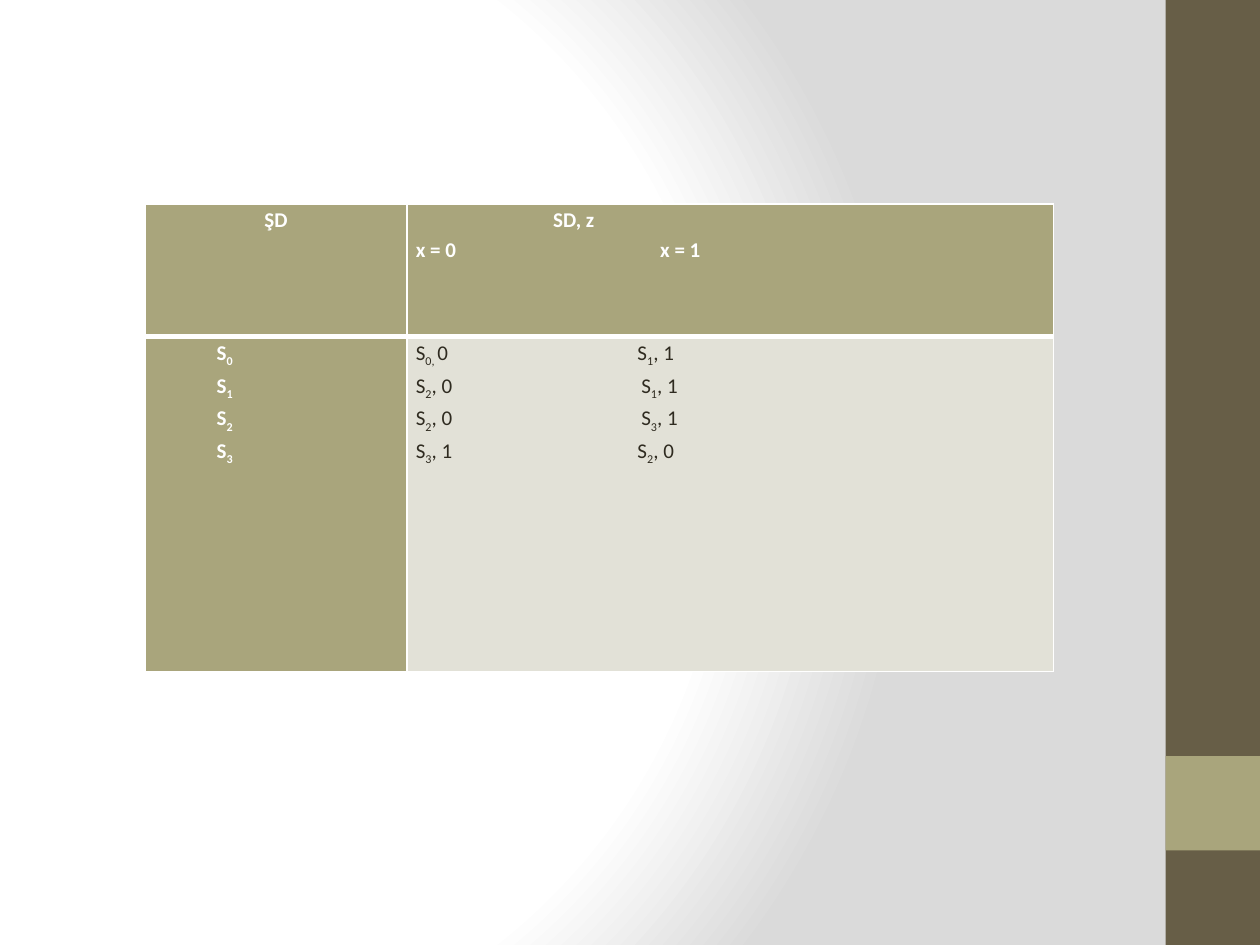
from lxml import etree
from pptx import Presentation
from pptx.dml.color import RGBColor
from pptx.enum import shapes, text
from pptx.oxml import ns
from pptx.util import Inches, Pt

COLORS = {
    "white": "FFFFFF",
    "shade": "DADADA",
    "brown": "675E47",
    "olive": "A9A57C",
    "pale": "E2E1D7",
    "ink": "2F2B20",
}
FONT = "Calibri"
LEFT, CENTER = text.PP_ALIGN.LEFT, text.PP_ALIGN.CENTER


def rgb(name):
    return RGBColor.from_string(COLORS[name])


def add_xml(parent, tag, **attrs):
    return etree.SubElement(parent, ns.qn(tag), attrs)


def add_color(parent, name):
    add_xml(parent, "a:srgbClr", val=COLORS[name])


def set_background(s):
    """Circular gradient, white at its centre."""
    s.background.fill.gradient()
    grad = s.element.find(".//" + ns.qn("a:gradFill"))
    for child in list(grad):
        grad.remove(child)
    stops = add_xml(grad, "a:gsLst")
    for pos, name in ((0, "white"), (75, "white"), (100, "shade")):
        add_color(add_xml(stops, "a:gs", pos=str(pos * 1000)), name)
    path = add_xml(grad, "a:path", path="circle")
    add_xml(path, "a:fillToRect", l="20000", t="50000", r="100000", b="50000")


def add_bar(s, top, height, color):
    sp = s.shapes.add_shape(shapes.MSO_SHAPE.RECTANGLE, Inches(9.25),
                            Inches(top), Inches(0.75), Inches(height))
    sp.shadow.inherit = False
    sp.fill.solid()
    sp.fill.fore_color.rgb = rgb(color)
    sp.line.fill.background()


def set_borders(cell, **widths):
    """White borders, 1 pt wide unless a side (L, R, T, B) says otherwise."""
    tc_pr = cell._tc.get_or_add_tcPr()
    for side in "LRTB":
        ln = add_xml(tc_pr, "a:ln" + side, w=str(Pt(widths.get(side, 1))))
        add_color(add_xml(ln, "a:solidFill"), "white")


def add_line(p, line, color, bold, align=LEFT, indent=None, tab=None):
    """Write one paragraph; parts between tildes are subscripts."""
    p_pr = p._p.get_or_add_pPr()
    if indent:
        p_pr.set("marL", str(Inches(indent)))
    if tab:
        tabs = add_xml(p_pr, "a:tabLst")
        add_xml(tabs, "a:tab", pos=str(Inches(tab)), algn="l")
    p.alignment = align
    p.line_spacing = 1.15
    p.font.name = FONT
    p.font.size = Pt(12)
    p.font.bold = bold
    p.font.color.rgb = rgb(color)
    for i, part in enumerate(line.split("~")):
        if part:
            r = p.add_run()
            r.text = part
            if i % 2:
                r.font._element.set("baseline", "-25000")


def fill_cell(cell, lines, fill="olive", color="white", bold=True):
    """lines holds pairs of a text and its paragraph layout."""
    cell.margin_left = cell.margin_right = Inches(0.07)
    cell.margin_top = cell.margin_bottom = 0
    cell.fill.solid()
    cell.fill.fore_color.rgb = rgb(fill)
    tf = cell.text_frame
    for i, (line, layout) in enumerate(lines):
        p = tf.add_paragraph() if i else tf.paragraphs[0]
        add_line(p, line, color, bold, **layout)


def add_state_table(s):
    table = s.shapes.add_table(2, 2, Inches(1.15), Inches(1.62),
                               Inches(7.21), Inches(3.71)).table
    for col, width in zip(table.columns, (2.08, 5.13)):
        col.width = Inches(width)
    for row, height in zip(table.rows, (1.05, 2.66)):
        row.height = Inches(height)
    for c in range(2):
        set_borders(table.cell(0, c), B=3)
        set_borders(table.cell(1, c), T=3)

    states = [f"S~{n}~" for n in range(4)]
    transitions = [("S~0, ~0\tS~1~, 1", 1.76), ("S~2~, 0\tS~1~, 1", 1.79),
                   ("S~2~, 0\tS~3~, 1", 1.79), ("S~3~, 1\tS~2~, 0", 1.76)]
    fill_cell(table.cell(0, 0), [("ŞD", {"align": CENTER})])
    fill_cell(table.cell(0, 1), [("SD, z", {"indent": 1.09}),
                                 ("x = 0\tx = 1", {"tab": 1.94})])
    fill_cell(table.cell(1, 0), [(t, {"indent": 0.5}) for t in states])
    fill_cell(table.cell(1, 1), [(t, {"tab": tab}) for t, tab in transitions],
              "pale", "ink", False)


def main():
    prs = Presentation()
    prs.slide_width, prs.slide_height = Inches(10), Inches(7.5)
    s = prs.slides.add_slide(prs.slide_layouts[6])
    set_background(s)
    add_bar(s, 0, 7.5, "brown")
    add_bar(s, 6, 0.75, "olive")
    add_state_table(s)
    prs.save("out.pptx")


if __name__ == "__main__":
    main()
